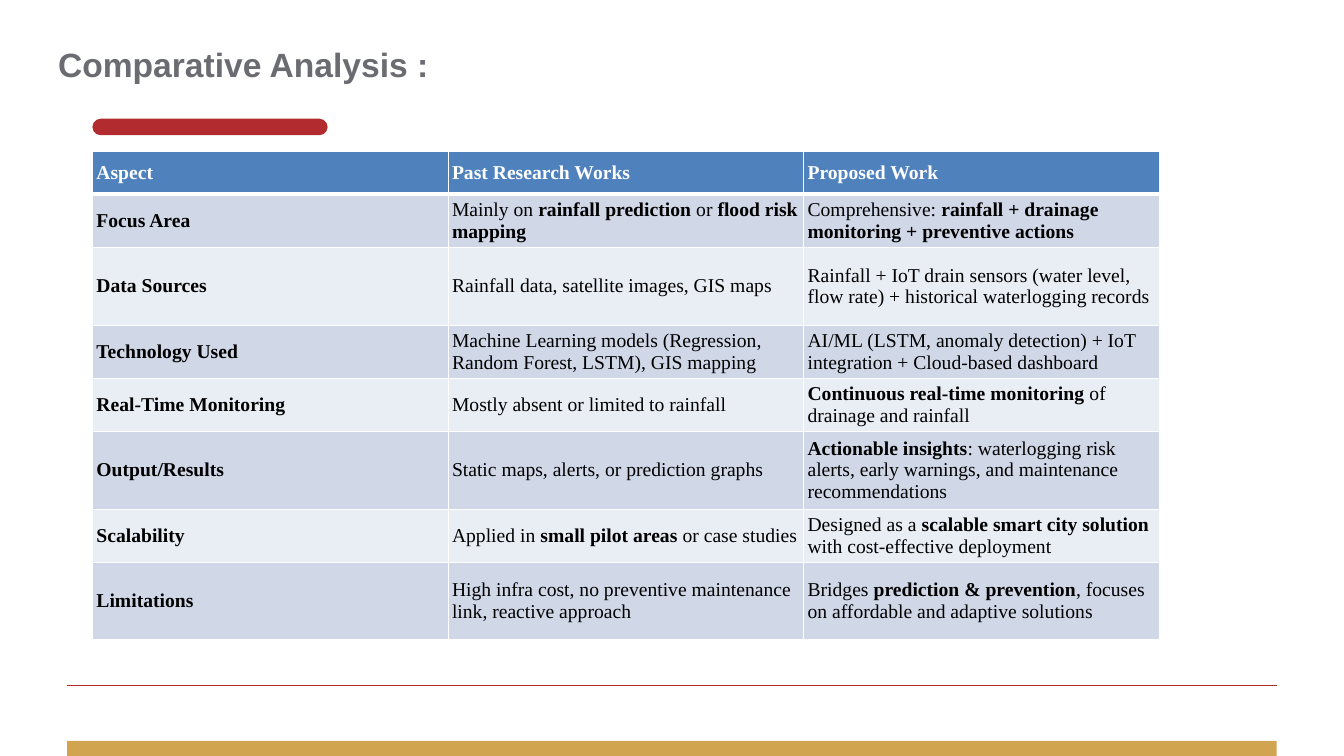
from dataclasses import dataclass

from lxml import etree
from pptx import Presentation
from pptx.dml.color import RGBColor
from pptx.enum import shapes, text
from pptx.oxml import ns
from pptx.util import Pt


@dataclass(frozen=True)
class Theme:
    """Colours, fonts and type sizes of the slide."""
    red: str = "B22B2F"
    gold: str = "D1A550"
    grey: str = "6B6C71"
    header: str = "4F81BD"
    bands: tuple = ("D0D8E8", "E9EDF4")
    white: str = "FFFFFF"
    black: str = "000000"
    title_font: str = "Arial"
    table_font: str = "Times New Roman"
    title_size: int = 24
    table_size: int = 14


THEME = Theme()
ROW_HEIGHTS = (30.5, 38, 55.5, 38, 38, 55.5, 38, 55.5)
ROWS = (
    ("**Aspect**", "**Past Research Works**", "**Proposed Work**"),
    ("**Focus Area**",
     "Mainly on **rainfall prediction** or **flood risk mapping**",
     "Comprehensive: **rainfall + drainage monitoring + preventive actions**"),
    ("**Data Sources**",
     "Rainfall data, satellite images, GIS maps",
     "Rainfall + IoT drain sensors (water level, flow rate) + historical waterlogging records"),
    ("**Technology Used**",
     "Machine Learning models (Regression, Random Forest, LSTM), GIS mapping",
     "AI/ML (LSTM, anomaly detection) + IoT integration + Cloud-based dashboard"),
    ("**Real-Time Monitoring**",
     "Mostly absent or limited to rainfall",
     "**Continuous real-time monitoring** of drainage and rainfall"),
    ("**Output/Results**",
     "Static maps, alerts, or prediction graphs",
     "**Actionable insights**: waterlogging risk alerts, early warnings, "
     "and maintenance recommendations"),
    ("**Scalability**",
     "Applied in **small pilot areas** or case studies",
     "Designed as a **scalable smart city solution** with cost-effective deployment"),
    ("**Limitations**",
     "High infra cost, no preventive maintenance link, reactive approach",
     "Bridges **prediction & prevention**, focuses on affordable and adaptive solutions"),
)


def rgb(color):
    """Turn a hex string into a colour."""
    return RGBColor.from_string(color)


def add_runs(p, marked, font, size, color):
    """Add runs to a paragraph, bold between double asterisks."""
    for i, part in enumerate(marked.split("**")):
        if part:
            r = p.add_run()
            r.text = part
            r.font.name = font
            r.font.size = Pt(size)
            r.font.bold = i % 2 == 1
            r.font.color.rgb = rgb(color)


def add_title(s, title, x, y, w, h):
    """Add the slide title."""
    tf = s.shapes.add_textbox(Pt(x), Pt(y), Pt(w), Pt(h)).text_frame
    tf.word_wrap = True
    tf.margin_left = tf.margin_right = tf.margin_bottom = 0
    tf.margin_top = Pt(6.5)
    p = tf.paragraphs[0]
    p.space_before = Pt(1)
    add_runs(p, f"**{title}**", THEME.title_font, THEME.title_size, THEME.grey)


def add_bar(s, kind, color, x, y, w, h):
    """Add a plain filled bar and return it."""
    sp = s.shapes.add_shape(kind, Pt(x), Pt(y), Pt(w), Pt(h))
    sp.shadow.inherit = False
    sp.fill.solid()
    sp.fill.fore_color.rgb = rgb(color)
    sp.line.fill.background()
    return sp


def add_rule(s, color, x, y, w):
    """Add a thin horizontal rule."""
    cx = s.shapes.add_connector(shapes.MSO_CONNECTOR.STRAIGHT, Pt(x), Pt(y), Pt(x + w), Pt(y))
    cx.line.color.rgb = rgb(color)
    cx.line.width = Pt(0.75)
    etree.SubElement(cx.element.spPr, ns.qn("a:effectLst"))


def set_borders(cell, top, bottom):
    """Draw white borders around a cell."""
    tc_pr = cell._tc.get_or_add_tcPr()
    for side, width in (("L", 1), ("R", 1), ("T", top), ("B", bottom)):
        ln = etree.SubElement(tc_pr, ns.qn(f"a:ln{side}"), w=str(Pt(width)))
        fill = etree.SubElement(ln, ns.qn("a:solidFill"))
        etree.SubElement(fill, ns.qn("a:srgbClr"), val=THEME.white)


def fill_cell(cell, marked, row):
    """Style one table cell and write its text."""
    set_borders(cell, 3 if row == 1 else 1, 3 if row == 0 else 1)
    cell.fill.solid()
    cell.fill.fore_color.rgb = rgb(THEME.bands[(row - 1) % 2] if row else THEME.header)
    cell.vertical_anchor = text.MSO_ANCHOR.MIDDLE
    cell.margin_left = cell.margin_right = Pt(2.7)
    cell.margin_top = cell.margin_bottom = Pt(1.35)
    color = THEME.black if row else THEME.white
    add_runs(cell.text_frame.paragraphs[0], marked, THEME.table_font, THEME.table_size, color)


def add_comparison(s, x, y, w):
    """Add the comparison table with equal columns."""
    cols = len(ROWS[0])
    frame = s.shapes.add_table(len(ROWS), cols, Pt(x), Pt(y), Pt(w), Pt(sum(ROW_HEIGHTS)))
    table = frame.table
    for col in table.columns:
        col.width = Pt(w / cols)
    for i, (height, row) in enumerate(zip(ROW_HEIGHTS, ROWS)):
        table.rows[i].height = Pt(height)
        for j, marked in enumerate(row):
            fill_cell(table.cell(i, j), marked, i)


def main():
    """Build and save the slide."""
    prs = Presentation()
    prs.slide_width, prs.slide_height = Pt(960), Pt(540)
    s = prs.slides.add_slide(prs.slide_layouts[6])
    accent = add_bar(s, shapes.MSO_SHAPE.ROUNDED_RECTANGLE, THEME.red, 66, 84.8, 168, 11.8)
    accent.adjustments[0] = 0.5
    add_bar(s, shapes.MSO_SHAPE.RECTANGLE, THEME.gold, 48, 529.2, 864, 10.8)
    add_rule(s, THEME.red, 48, 489.6, 864)
    add_title(s, "Comparative Analysis :", 41.5, 25.2, 490, 35.5)
    add_comparison(s, 66.2, 108.3, 762)
    prs.save("out.pptx")


if __name__ == "__main__":
    main()
